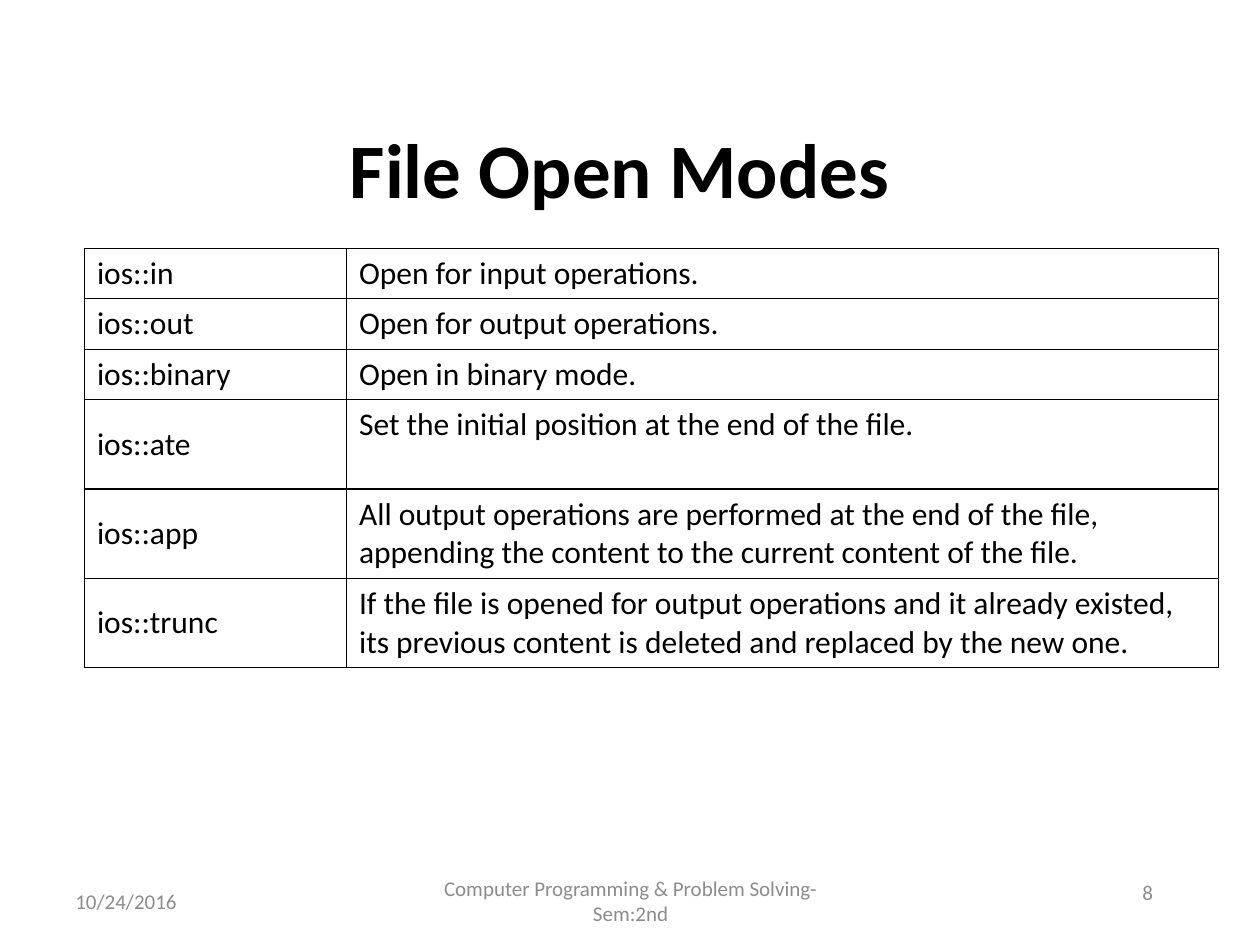
from lxml import etree
from pptx import Presentation
from pptx.dml.color import RGBColor
from pptx.enum import text
from pptx.oxml import ns
from pptx.util import Inches, Pt

BLACK = RGBColor(0x00, 0x00, 0x00)
WHITE = RGBColor(0xFF, 0xFF, 0xFF)
GRAY = RGBColor(0x8C, 0x8C, 0x8C)
FONT = "Calibri"
LEFT, MID, RIGHT = text.PP_ALIGN.LEFT, text.PP_ALIGN.CENTER, text.PP_ALIGN.RIGHT
CENTER, TOP = text.MSO_ANCHOR.MIDDLE, text.MSO_ANCHOR.TOP

# Mode, meaning, row height, anchor of the meaning
MODES = [
    ("ios::in", "Open for input operations.", 0.4, CENTER),
    ("ios::out", "Open for output operations.", 0.4, CENTER),
    ("ios::binary", "Open in binary mode.", 0.4, CENTER),
    ("ios::ate", "Set the initial position at the end of the file.", 0.71, TOP),
    ("ios::app", "All output operations are performed at the end of the file, "
     "appending the content to the current content of the file.", 0.71, CENTER),
    ("ios::trunc", "If the file is opened for output operations and it already "
     "existed, its previous content is deleted and replaced by the new one.",
     0.71, CENTER),
]


def style(frame, words, size, color, align=LEFT, bold=False):
    frame.text = words
    par = frame.paragraphs[0]
    par.alignment = align
    font = par.runs[0].font
    font.name, font.size, font.bold = FONT, Pt(size), bold
    font.color.rgb = color


def add_label(slide, box, words, size, color, align, bold=False):
    frame = slide.shapes.add_textbox(*map(Inches, box)).text_frame
    frame.word_wrap = True
    frame.vertical_anchor = CENTER
    style(frame, words, size, color, align, bold)


def add_border(cell):
    props = cell._tc.get_or_add_tcPr()
    for spot, side in enumerate(("lnL", "lnR", "lnT", "lnB")):
        line = etree.Element(ns.qn("a:" + side), w=str(Pt(0.75)))
        fill = etree.SubElement(line, ns.qn("a:solidFill"))
        etree.SubElement(fill, ns.qn("a:srgbClr"), val=str(BLACK))
        props.insert(spot, line)


def add_modes(slide, box):
    left, top, width, height = map(Inches, box)
    table = slide.shapes.add_table(len(MODES), 2, left, top, width, height).table
    table.first_row = table.horz_banding = False
    first = Inches(2.08)
    table.columns[0].width = first
    table.columns[1].width = width - first
    for row, (mode, note, tall, anchor) in zip(table.rows, MODES):
        row.height = Inches(tall)
        for cell, words, place in zip(row.cells, (mode, note), (CENTER, anchor)):
            style(cell.text_frame, words, 18, BLACK)
            cell.vertical_anchor = place
            cell.fill.solid()
            cell.fill.fore_color.rgb = WHITE
            add_border(cell)


def add_footer(slide, box):
    left, top, width, height = box
    add_label(slide, (left, top, 2.33, height), "10/24/2016", 12, GRAY, LEFT)
    add_label(slide, (left + 2.92, top, 3.17, height),
              "Computer Programming & Problem Solving-Sem:2nd", 12, GRAY, MID)
    # Page number sits a little higher, at the right end
    add_label(slide, (left + width - 2.08, top - 0.12, 2.08, 0.5),
              "8", 12, GRAY, RIGHT)


def main():
    deck = Presentation()
    deck.slide_width, deck.slide_height = Inches(10), Inches(7.5)
    slide = deck.slides.add_slide(deck.slide_layouts[6])
    add_label(slide, (0.67, 0.75, 8.5, 1.17), "File Open Modes",
              44, BLACK, MID, True)
    add_modes(slide, (0.67, 1.97, 9, 3.33))
    add_footer(slide, (0.5, 6.95, 8.75, 0.4))
    deck.save("out.pptx")


if __name__ == "__main__":
    main()
